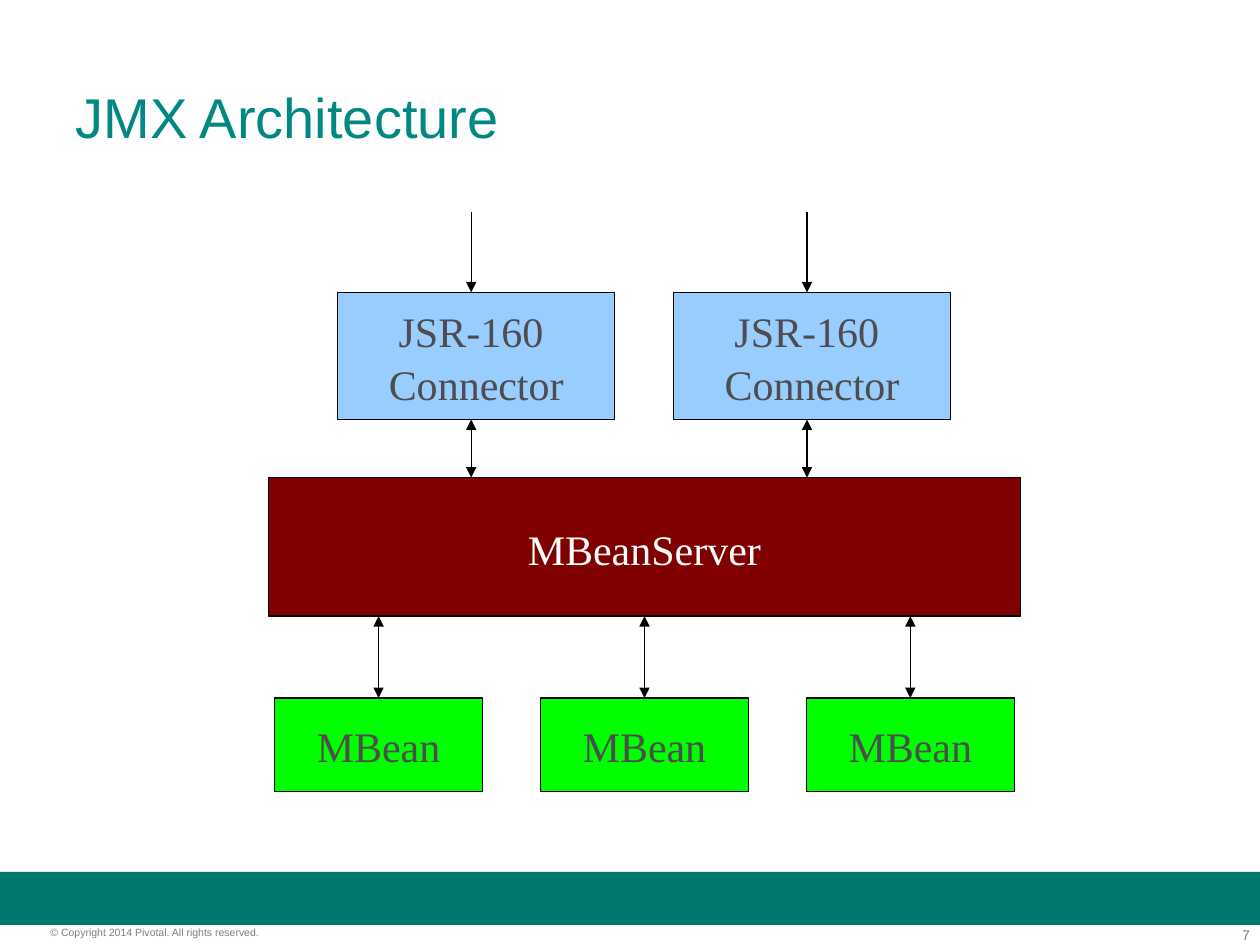
from lxml.etree import SubElement
from pptx import Presentation
from pptx.dml.color import RGBColor
from pptx.enum.shapes import MSO_CONNECTOR, MSO_SHAPE
from pptx.enum.text import MSO_ANCHOR, PP_ALIGN
from pptx.oxml.ns import qn
from pptx.util import Inches, Pt

COLUMNS, ROWS = 100, 75
TOP, BOTTOM = 0, 2


def color(hex_string):
    return RGBColor.from_string(hex_string)


def write(frame, text, size=24, font="Times New Roman", ink="4D4D4D",
          align=PP_ALIGN.LEFT, anchor=MSO_ANCHOR.TOP, margins=(1, 0.5), spacing=1.0):
    """Fill a text frame, one paragraph per line; margins are sides and ends in grid units."""
    frame.word_wrap = True
    frame.vertical_anchor = anchor
    frame.margin_left = frame.margin_right = Inches(margins[0] / 10)
    frame.margin_top = frame.margin_bottom = Inches(margins[1] / 10)
    for index, line in enumerate(text.split("\n")):
        paragraph = frame.add_paragraph() if index else frame.paragraphs[0]
        paragraph.alignment = align
        paragraph.line_spacing = spacing
        run = paragraph.add_run()
        run.text = line
        run.font.name = font
        run.font.size = Pt(size)
        run.font.color.rgb = color(ink)


class Diagram:
    """A slide on a grid of 100 columns by 75 rows, with one look for boxes and arrows."""

    def __init__(self, presentation):
        self.column = presentation.slide_width / COLUMNS
        self.row = presentation.slide_height / ROWS
        self.slide = presentation.slides.add_slide(presentation.slide_layouts[6])
        self.line_color, self.line_width = "000000", Pt(0.75)

    def x(self, columns):
        return round(columns * self.column)

    def y(self, rows):
        return round(rows * self.row)

    def area(self, left, top, width, height):
        return self.x(left), self.y(top), self.x(width), self.y(height)

    def text(self, at, text, **style):
        label = self.slide.shapes.add_textbox(*self.area(*at))
        write(label.text_frame, text, **style)

    def rectangle(self, at, fill):
        rectangle = self.slide.shapes.add_shape(MSO_SHAPE.RECTANGLE, *self.area(*at))
        rectangle.shadow.inherit = False
        rectangle.fill.solid()
        rectangle.fill.fore_color.rgb = color(fill)
        rectangle.line.fill.background()
        return rectangle

    def box(self, at, fill, text, ink="4D4D4D"):
        box = self.rectangle(at, fill)
        box.line.color.rgb = color(self.line_color)
        box.line.width = self.line_width
        write(box.text_frame, text, ink=ink, align=PP_ALIGN.CENTER,
              anchor=MSO_ANCHOR.MIDDLE, spacing=1.06)
        return box

    def arrow(self, column, start, end, both_ways=True):
        """Draw a vertical arrow between two rows."""
        arrow = self.slide.shapes.add_connector(
            MSO_CONNECTOR.STRAIGHT, self.x(column), self.y(start), self.x(column), self.y(end))
        arrow.line.color.rgb = color(self.line_color)
        arrow.line.width = self.line_width
        line = arrow.line._get_or_add_ln()
        for tag in ("a:headEnd", "a:tailEnd") if both_ways else ("a:tailEnd",):
            SubElement(line, qn(tag), type="triangle")
        SubElement(arrow._element.spPr, qn("a:effectLst"))
        return arrow


def main():
    presentation = Presentation()
    presentation.slide_width, presentation.slide_height = Inches(10), Inches(7.5)
    diagram = Diagram(presentation)

    diagram.rectangle((0, 69.2, 100, 4.2), "00786E")
    footer = dict(font="Arial", ink="7F7F7F", margins=(0, 0))
    diagram.text((93.4, 73.5, 5.8, 1.3), "7", size=8, align=PP_ALIGN.RIGHT, **footer)
    diagram.text((4, 73.5, 24.9, 1), "© Copyright 2014 Pivotal. All rights reserved.",
                 size=6, **footer)
    diagram.text((5, 3, 90, 12.5), "JMX Architecture", size=32, font="Arial",
                 ink="008881", anchor=MSO_ANCHOR.MIDDLE)

    server_top, server_bottom = 37.9, 48.9
    server = diagram.box((21.3, server_top, 59.7, server_bottom - server_top),
                         "800000", "MBeanServer", ink="FFFFFF")

    bean_top, bean_width, bean_pitch = 55.4, 16.5, 21.1
    for index in range(3):
        left = 21.8 + index * bean_pitch
        bean = diagram.box((left, bean_top, bean_width, 7.4), "00FF00", "MBean")
        link = diagram.arrow(left + bean_width / 2, server_bottom, bean_top)
        link.end_connect(bean, TOP)
        if index == 1:
            link.begin_connect(server, BOTTOM)

    connector_top, connector_bottom, connector_pitch = 23.2, 33.3, 26.65
    for index in range(2):
        offset = index * connector_pitch
        diagram.box((26.8 + offset, connector_top, 22, connector_bottom - connector_top),
                    "99CCFF", "JSR-160 \nConnector")
        diagram.arrow(37.4 + offset, connector_bottom, server_top)
        diagram.arrow(37.4 + offset, 16.8, connector_top, both_ways=False)

    presentation.save("out.pptx")


if __name__ == "__main__":
    main()
